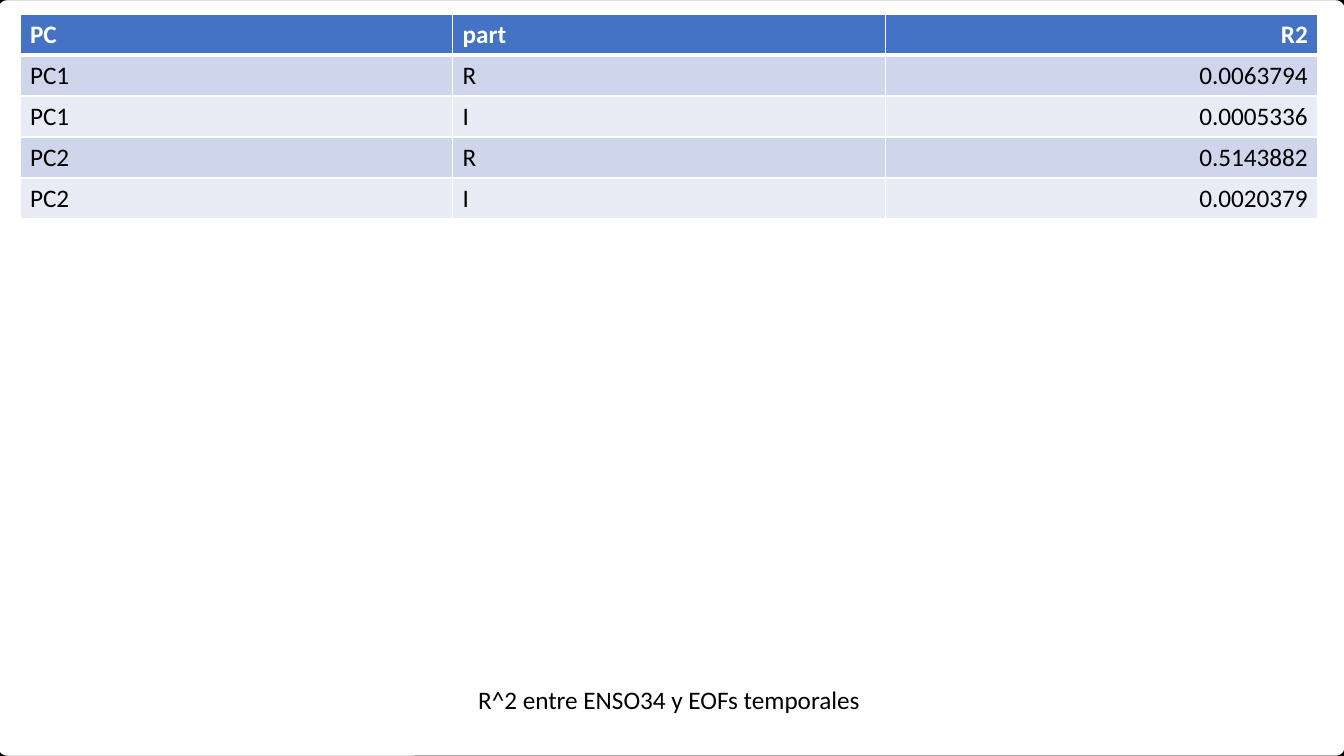
from dataclasses import dataclass

from pptx import Presentation
from pptx.dml.color import RGBColor
from pptx.enum.shapes import MSO_SHAPE as Shape
from pptx.enum.text import PP_ALIGN as Align
from pptx.oxml import parse_xml
from pptx.oxml.ns import nsdecls
from pptx.util import Emu, Pt

EMU_PER_INCH = 914400
PX_PER_INCH = 100.8

BLACK = RGBColor(0x00, 0x00, 0x00)
WHITE = RGBColor(0xFF, 0xFF, 0xFF)
HEADER_BLUE = RGBColor(0x44, 0x72, 0xC4)
BAND_DARK = RGBColor(0xCF, 0xD5, 0xEA)
BAND_LIGHT = RGBColor(0xE9, 0xEB, 0xF5)

FONT_NAME = "Calibri"
FONT_SIZE = Pt(18)
ROW_HEIGHT = 41


@dataclass(frozen=True)
class Box:
    left: int
    top: int
    width: int
    height: int

    def emu(self) -> tuple[Emu, Emu, Emu, Emu]:
        return px(self.left), px(self.top), px(self.width), px(self.height)


@dataclass(frozen=True)
class Column:
    heading: str
    align: Align


@dataclass(frozen=True)
class RowStyle:
    fill: RGBColor
    color: RGBColor
    bold: bool
    top_border: int
    bottom_border: int


COLUMNS = [
    Column("PC", Align.LEFT),
    Column("part", Align.LEFT),
    Column("R2", Align.RIGHT),
]
RESULTS = [
    ("PC1", "R", "0.0063794"),
    ("PC1", "I", "0.0005336"),
    ("PC2", "R", "0.5143882"),
    ("PC2", "I", "0.0020379"),
]


def px(length: int) -> Emu:
    return Emu(round(length * EMU_PER_INCH / PX_PER_INCH))


def format_paragraph(paragraph, align: Align, color: RGBColor, bold: bool = False) -> None:
    paragraph.alignment = align
    font = paragraph.font
    font.name, font.size, font.bold = FONT_NAME, FONT_SIZE, bold
    font.color.rgb = color


def row_style(row: int) -> RowStyle:
    if row == 0:
        return RowStyle(HEADER_BLUE, WHITE, True, 1, 3)
    band = BAND_DARK if row % 2 else BAND_LIGHT
    return RowStyle(band, BLACK, False, 3 if row == 1 else 1, 1)


def set_borders(cell, style: RowStyle) -> None:
    properties = cell._tc.get_or_add_tcPr()
    widths = {"lnL": 1, "lnR": 1, "lnT": style.top_border, "lnB": style.bottom_border}
    for position, (side, width) in enumerate(widths.items()):
        properties.insert(position, parse_xml(
            f'<a:{side} {nsdecls("a")} w="{Pt(width)}"><a:solidFill>'
            f'<a:srgbClr val="{WHITE}"/></a:solidFill></a:{side}>'
        ))


def add_frame(slide, box: Box) -> None:
    frame = slide.shapes.add_shape(Shape.ROUNDED_RECTANGLE, *box.emu())
    frame.adjustments[0] = 0.017
    frame.shadow.inherit = False
    frame.fill.background()
    frame.line.color.rgb = BLACK
    frame.line.width = Pt(6)


def add_results_table(slide, box: Box) -> None:
    rows = [tuple(column.heading for column in COLUMNS), *RESULTS]
    table = slide.shapes.add_table(len(rows), len(COLUMNS), *box.emu()).table
    table.horz_banding = False
    for row, values in enumerate(rows):
        style = row_style(row)
        table.rows[row].height = px(ROW_HEIGHT)
        for cell, column, value in zip(table.rows[row].cells, COLUMNS, values):
            cell.text = value
            cell.fill.solid()
            cell.fill.fore_color.rgb = style.fill
            format_paragraph(cell.text_frame.paragraphs[0], column.align, style.color, style.bold)
            set_borders(cell, style)


def add_caption(slide, text: str, box: Box) -> None:
    text_frame = slide.shapes.add_textbox(*box.emu()).text_frame
    text_frame.word_wrap = True
    text_frame.text = text
    format_paragraph(text_frame.paragraphs[0], Align.CENTER, BLACK)


def main() -> None:
    presentation = Presentation()
    presentation.slide_width, presentation.slide_height = px(1344), px(756)
    slide = presentation.slides.add_slide(presentation.slide_layouts[6])
    slide.background.fill.solid()
    slide.background.fill.fore_color.rgb = WHITE

    # Rounded page frame
    add_frame(slide, Box(-6, -4, 1355, 764))

    # Table with its caption
    add_results_table(slide, Box(20, 14, 1298, ROW_HEIGHT * (len(RESULTS) + 1)))
    add_caption(slide, "R^2 entre ENSO34 y EOFs temporales", Box(20, 679, 1298, 56))

    presentation.save("out.pptx")


if __name__ == "__main__":
    main()
